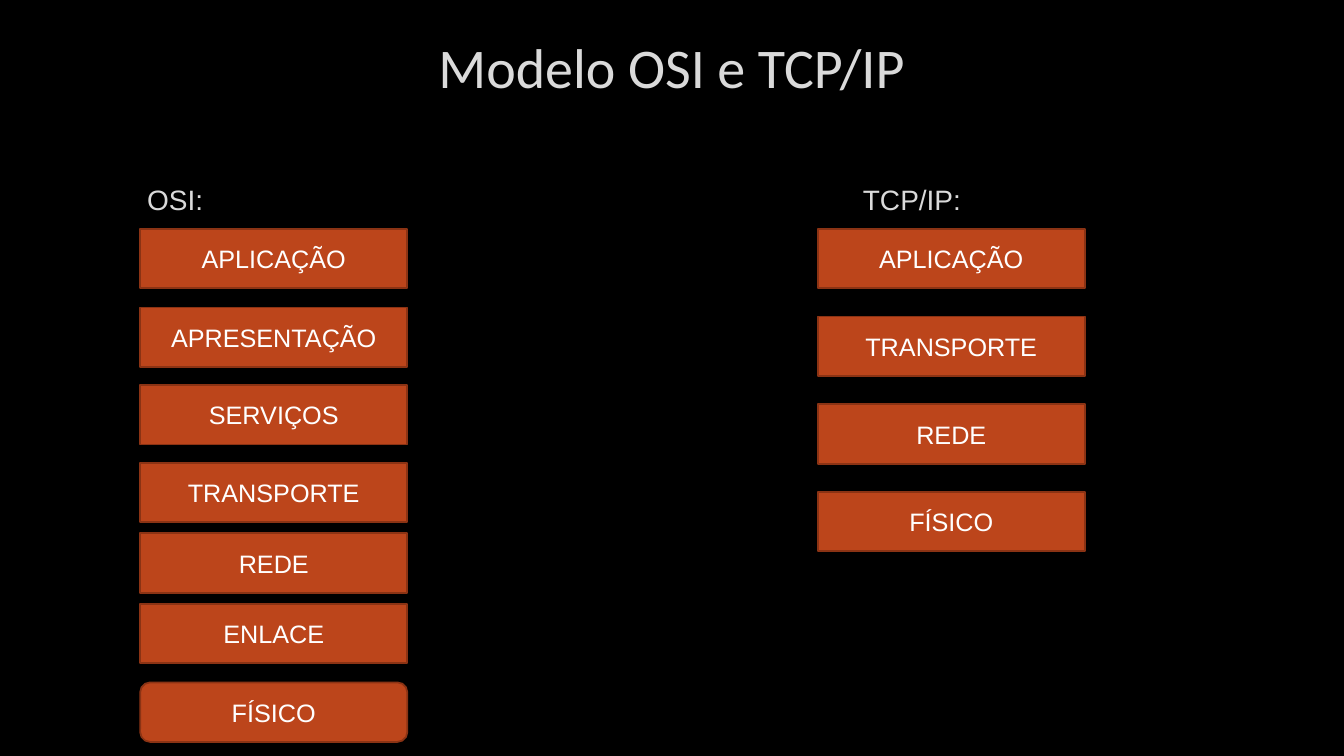
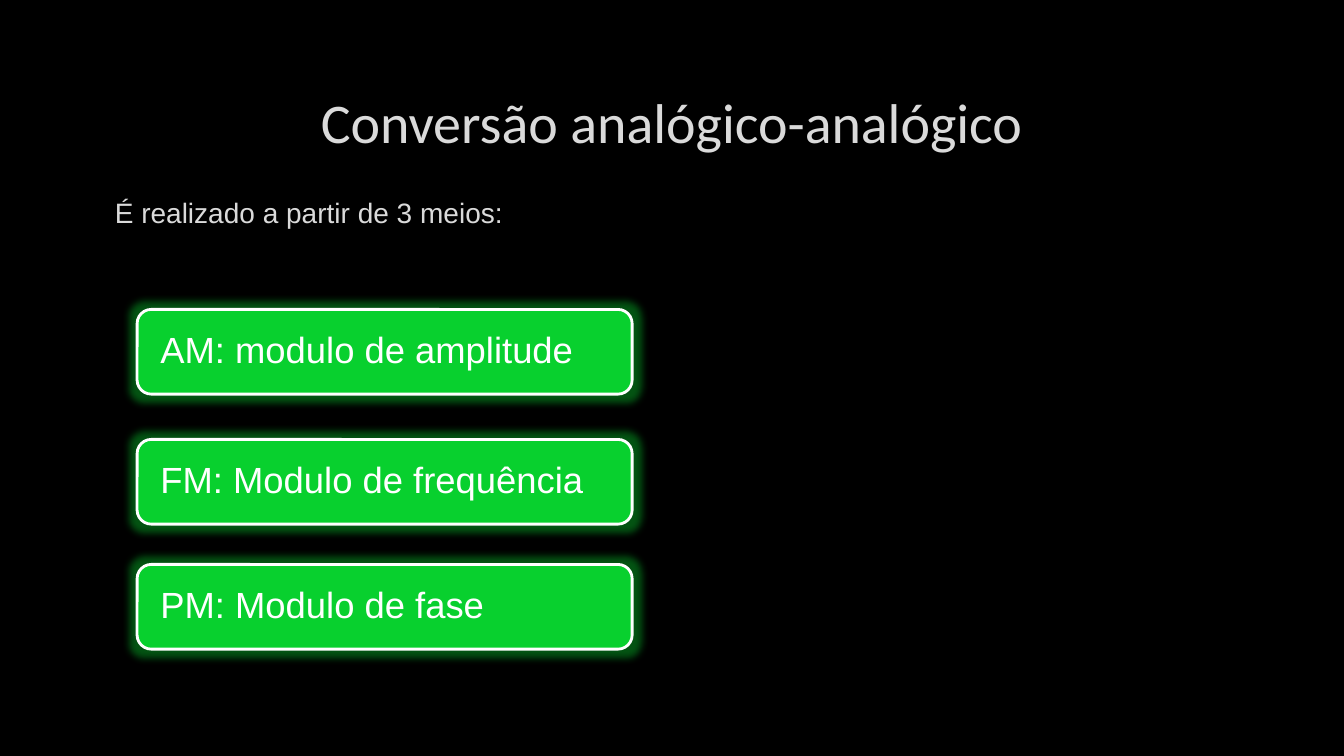
from lxml.etree import SubElement
from pptx import Presentation
from pptx.dml.color import RGBColor
from pptx.enum.shapes import MSO_SHAPE
from pptx.enum.text import MSO_ANCHOR, MSO_AUTO_SIZE, PP_ALIGN
from pptx.oxml.ns import qn
from pptx.util import Inches, Pt

BLACK = RGBColor(0x00, 0x00, 0x00)
WHITE = RGBColor(0xFF, 0xFF, 0xFF)
LIGHT = RGBColor(0xDA, 0xDA, 0xDA)
RUST = RGBColor(0xBC, 0x45, 0x1B)
RUST_DARK = RGBColor(0x8B, 0x33, 0x14)
GREEN = RGBColor(0x08, 0xD0, 0x2E)

RECT = MSO_SHAPE.RECTANGLE
ROUND = MSO_SHAPE.ROUNDED_RECTANGLE

OSI_LAYERS = [
    ("APLICAÇÃO", 2.27, RECT),
    ("APRESENTAÇÃO", 3.05, RECT),
    ("SERVIÇOS", 3.82, RECT),
    ("TRANSPORTE", 4.59, RECT),
    ("REDE", 5.29, RECT),
    ("ENLACE", 5.99, RECT),
    ("FÍSICO", 6.77, ROUND),
]
TCP_NAMES = ["APLICAÇÃO", "TRANSPORTE", "REDE", "FÍSICO"]
TCP_TOP, TCP_STEP = 2.27, 0.87
TCP_LAYERS = [(name, TCP_TOP + i * TCP_STEP, RECT) for i, name in enumerate(TCP_NAMES)]
STACKS = [
    ("OSI:", 1.36, 1.39, OSI_LAYERS),
    ("TCP/IP:", 8.46, 8.11, TCP_LAYERS),
]
MODULATIONS = [
    ("AM: modulo de amplitude", 3.07),
    ("FM: Modulo de frequência", 4.36),
    ("PM: Modulo de fase", 5.6),
]


def write(tf, text, size, color, align, font="Arial"):
    tf.word_wrap = True
    p = tf.paragraphs[0]
    p.alignment = align
    r = p.add_run()
    r.text = text
    r.font.name, r.font.size, r.font.color.rgb = font, Pt(size), color


def place(sp, left, top, width, height):
    sp.left, sp.top = Inches(left), Inches(top)
    sp.width, sp.height = Inches(width), Inches(height)


def add_slide(prs, title, top):
    s = prs.slides.add_slide(prs.slide_layouts[5])
    place(s.shapes.title, 1, top, 11.32, 1.06)
    tf = s.shapes.title.text_frame
    tf.auto_size = MSO_AUTO_SIZE.NONE
    tf.vertical_anchor = MSO_ANCHOR.MIDDLE
    write(tf, title, 40, LIGHT, PP_ALIGN.CENTER, "Calibri")
    return s


def add_label(s, text, left, top, width):
    sp = s.shapes.add_textbox(Inches(left), Inches(top), Inches(width), Inches(0.45))
    write(sp.text_frame, text, 20, LIGHT, PP_ALIGN.LEFT)


def add_box(s, kind, box, fill, line, line_width, text, size, align):
    sp = s.shapes.add_shape(kind, *[Inches(v) for v in box])
    sp.shadow.inherit = False
    sp.fill.solid()
    sp.fill.fore_color.rgb = fill
    sp.line.color.rgb = line
    sp.line.width = Pt(line_width)
    sp.text_frame.vertical_anchor = MSO_ANCHOR.MIDDLE
    write(sp.text_frame, text, size, WHITE, align)
    return sp


def add_glow(sp, color, radius, alpha):
    effects = sp._element.spPr.find(qn("a:effectLst"))
    glow = SubElement(effects, qn("a:glow"), rad=str(Pt(radius)))
    clr = SubElement(glow, qn("a:srgbClr"), val=str(color))
    SubElement(clr, qn("a:alpha"), val=str(alpha * 1000))


def build_models(prs):
    s = add_slide(prs, "Modelo OSI e TCP/IP", 0.13)
    for label, label_left, left, layers in STACKS:
        add_label(s, label, label_left, 1.76, 2.65)
        for name, top, kind in layers:
            add_box(s, kind, (left, top, 2.65, 0.59), RUST, RUST_DARK, 1.25,
                    name, 18, PP_ALIGN.CENTER)


def build_conversion(prs):
    s = add_slide(prs, "Conversão analógico-analógico", 0.67)
    add_label(s, "É realizado a partir de 3 meios:", 1.04, 1.89, 11.28)
    for text, top in MODULATIONS:
        sp = add_box(s, ROUND, (1.36, top, 4.91, 0.84), GREEN, WHITE, 2,
                     text, 26, PP_ALIGN.LEFT)
        tf = sp.text_frame
        tf.margin_left = tf.margin_right = Inches(0.19)
        tf.margin_top = tf.margin_bottom = 0
        tf.paragraphs[0].line_spacing = 0.9
        add_glow(sp, GREEN, 11, 40)


def main():
    prs = Presentation()
    prs.slide_width, prs.slide_height = Inches(13.33), Inches(7.5)
    bg = prs.slide_master.background.fill
    bg.solid()
    bg.fore_color.rgb = BLACK
    build_models(prs)
    build_conversion(prs)
    prs.save("out.pptx")


if __name__ == "__main__":
    main()
